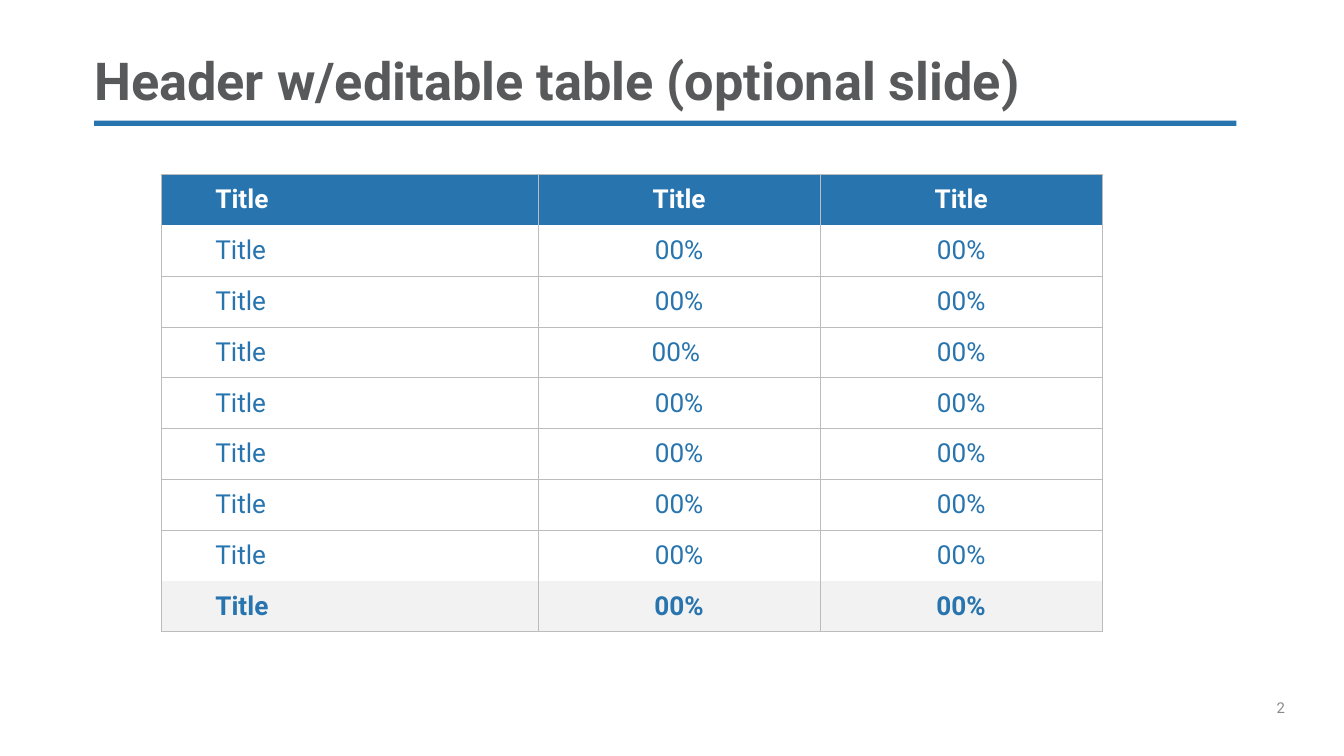
"""Build a slide with a header, a rule and a three-column table."""
from dataclasses import dataclass

from lxml import etree
from pptx import Presentation
from pptx.dml.color import RGBColor
from pptx.enum.shapes import MSO_SHAPE
from pptx.enum.text import MSO_ANCHOR, PP_ALIGN
from pptx.oxml.ns import qn
from pptx.util import Cm, Pt

RECT = MSO_SHAPE.RECTANGLE
TOP, MIDDLE, BOTTOM = MSO_ANCHOR.TOP, MSO_ANCHOR.MIDDLE, MSO_ANCHOR.BOTTOM
LEFT, CENTER = PP_ALIGN.LEFT, PP_ALIGN.CENTER

BLUE = RGBColor(0x27, 0x74, 0xAE)
DARK_GRAY = RGBColor(0x58, 0x59, 0x5B)
MID_GRAY = RGBColor(0x89, 0x89, 0x89)
BORDER_GRAY = RGBColor(0xBB, 0xBC, 0xBE)
LIGHT_GRAY = RGBColor(0xF2, 0xF2, 0xF2)
WHITE = RGBColor(0xFF, 0xFF, 0xFF)

FONT = "Roboto"
COL_WIDTHS = (7.12, 5.33, 5.33)
ROW_HEIGHT = 0.96


@dataclass(frozen=True)
class Row:
    texts: tuple[str, str, str]
    fill: RGBColor = WHITE
    color: RGBColor = BLUE
    bold: bool = False
    sides: str = "LRTB"


VALUES = ("Title", "00%", "00%")
ROWS = (
    Row(("Title",) * 3, BLUE, WHITE, True, "LRT"),
    Row(VALUES, sides="LRB"),
    Row(VALUES),
    Row(("Title", "00% ", "00%")),
    *[Row(VALUES)] * 3,
    Row(VALUES, sides="LRT"),
    Row(VALUES, LIGHT_GRAY, bold=True, sides="LRB"),
)


def style(p, size: float, color: RGBColor, bold: bool = False) -> None:
    """Set the font of a paragraph."""
    p.font.name = FONT
    p.font.size = Pt(size)
    p.font.bold = bold
    p.font.color.rgb = color


def add_text(s, box: tuple, text: str, size: float, color: RGBColor,
             bold: bool = False, anchor=TOP):
    """Add a text box without insets and return its paragraph."""
    tf = s.shapes.add_textbox(*map(Cm, box)).text_frame
    tf.word_wrap = True
    tf.vertical_anchor = anchor
    tf.margin_left = tf.margin_right = tf.margin_top = tf.margin_bottom = 0
    p = tf.paragraphs[0]
    p.text = text
    style(p, size, color, bold)
    return p


def set_borders(cell, sides: str) -> None:
    """Draw the named cell borders and clear the others."""
    tc_pr = cell._tc.get_or_add_tcPr()
    for i, side in enumerate("LRTB"):
        ln = etree.Element(qn(f"a:ln{side}"), w=str(Pt(0.5)))
        if side in sides:
            fill = etree.SubElement(ln, qn("a:solidFill"))
            etree.SubElement(fill, qn("a:srgbClr"), val=str(BORDER_GRAY))
        else:
            etree.SubElement(ln, qn("a:noFill"))
        tc_pr.insert(i, ln)


def fill_cell(cell, row: Row, col: int) -> None:
    """Write and format one table cell."""
    cell.fill.solid()
    cell.fill.fore_color.rgb = row.fill
    cell.vertical_anchor = MIDDLE
    if col == 0:
        cell.margin_left = Cm(1.02)
    p = cell.text_frame.paragraphs[0]
    p.text = row.texts[col]
    p.alignment = CENTER if col else LEFT
    style(p, 14, row.color, row.bold)
    set_borders(cell, row.sides)


def add_grid(s, left: float, top: float) -> None:
    """Add the table."""
    table = s.shapes.add_table(
        len(ROWS), len(COL_WIDTHS), Cm(left), Cm(top),
        Cm(sum(COL_WIDTHS)), Cm(ROW_HEIGHT * len(ROWS))).table
    for col, width in zip(table.columns, COL_WIDTHS):
        col.width = Cm(width)
    for i, row in enumerate(ROWS):
        table.rows[i].height = Cm(ROW_HEIGHT)
        for j in range(len(COL_WIDTHS)):
            fill_cell(table.cell(i, j), row, j)


def main() -> None:
    """Build and save the slide."""
    prs = Presentation()
    prs.slide_width, prs.slide_height = Cm(25.4), Cm(14.29)
    s = prs.slides.add_slide(prs.slide_layouts[6])

    rule = s.shapes.add_shape(RECT, Cm(1.78), Cm(2.28), Cm(21.59), Cm(0.1))
    rule.shadow.inherit = False
    rule.fill.solid()
    rule.fill.fore_color.rgb = BLUE
    rule.line.fill.background()

    add_text(s, (24.13, 13.21, 1.27, 1.02), "2", 8, MID_GRAY)
    title = add_text(s, (1.78, 1.02, 21.59, 1.09),
                     "Header w/editable table (optional slide)",
                     28, DARK_GRAY, True, BOTTOM)
    title.line_spacing = 0.9
    add_grid(s, 3.05, 3.3)
    prs.save("out.pptx")


main()
